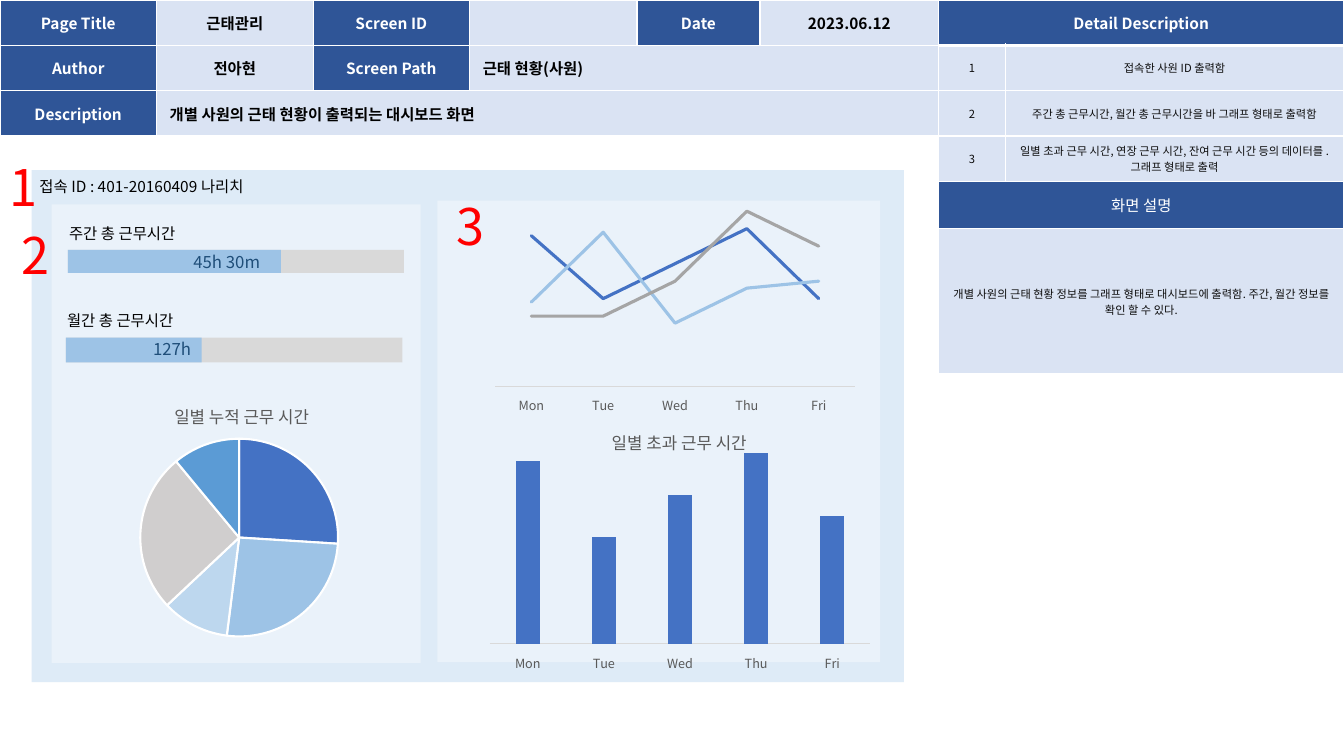
"""Builds the attendance dashboard screen definition slide."""
from lxml import etree
from pptx import Presentation
from pptx.chart.data import CategoryChartData
from pptx.dml.color import RGBColor
from pptx.enum.chart import XL_CHART_TYPE, XL_TICK_LABEL_POSITION, XL_TICK_MARK
from pptx.enum.shapes import MSO_SHAPE
from pptx.enum.text import MSO_ANCHOR, MSO_AUTO_SIZE, PP_ALIGN
from pptx.oxml.ns import qn
from pptx.util import Inches, Pt

RECT = MSO_SHAPE.RECTANGLE
LEFT, CENTER = PP_ALIGN.LEFT, PP_ALIGN.CENTER
MIDDLE, GROW = MSO_ANCHOR.MIDDLE, MSO_AUTO_SIZE.SHAPE_TO_FIT_TEXT
PIE, COLUMN, LINE = XL_CHART_TYPE.PIE, XL_CHART_TYPE.COLUMN_CLUSTERED, XL_CHART_TYPE.LINE
NO_TICK, LOW = XL_TICK_MARK.NONE, XL_TICK_LABEL_POSITION.LOW

FONT = "Noto Sans CJK KR"
COLORS = {
    "navy": "2F5597", "pale": "DAE3F3", "white": "FFFFFF", "black": "000000",
    "ink": "0D0D0D", "panel": "DEEBF7", "track": "D9D9D9", "sky": "9DC3E6",
    "deep": "1F4E79", "red": "FF0000", "blue": "4472C4", "ice": "BDD7EE",
    "silver": "D0CECE", "azure": "5B9BD5", "grey": "A5A5A5", "label": "595959",
}
LOOKS = {
    "head": ("navy", "white", 11, True, CENTER),
    "value": ("pale", "black", 11, True, CENTER),
    "wide": ("pale", "black", 11, True, LEFT),
    "section": ("navy", "white", 11, False, CENTER),
    "note": ("pale", "ink", 8, False, CENTER),
}
DAYS = ["Mon", "Tue", "Wed", "Thu", "Fri"]


def rgb(name):
    return RGBColor.from_string(COLORS[name])


class Board:
    """Holds the slide and draws on a grid of 100 columns by 100 rows."""

    def __init__(self, prs):
        self.col = prs.slide_width / 100
        self.row = prs.slide_height / 100
        self.slide = prs.slides.add_slide(prs.slide_layouts[6])

    def place(self, x, y, w, h):
        return [round(n) for n in (x * self.col, y * self.row, w * self.col, h * self.row)]

    def run(self, p, text, size, color, bold=False):
        r = p.add_run()
        r.text = text
        r.font.size, r.font.bold = Pt(size), bold
        r.font.color.rgb = rgb(color)
        r.font.name = FONT
        etree.SubElement(r.font._element, qn("a:ea"), typeface=FONT)

    def rect(self, box, color, alpha=None):
        sp = self.slide.shapes.add_shape(RECT, *self.place(*box))
        sp.shadow.inherit = False
        sp.fill.solid()
        sp.fill.fore_color.rgb = rgb(color)
        sp.line.fill.background()
        if alpha:
            fill = sp._element.spPr.find(qn("a:solidFill"))
            etree.SubElement(fill[0], qn("a:alpha"), val=str(alpha * 1000))

    def text(self, box, text, size=11, color="black"):
        tf = self.slide.shapes.add_textbox(*self.place(*box)).text_frame
        tf.word_wrap, tf.auto_size = True, GROW
        self.run(tf.paragraphs[0], text, size, color)

    def border(self, cell, side, width):
        ln = etree.SubElement(cell._tc.get_or_add_tcPr(), qn(f"a:ln{side}"), w=str(Pt(width)))
        fill = etree.SubElement(ln, qn("a:solidFill"))
        etree.SubElement(fill, qn("a:srgbClr"), val=COLORS["white"])

    def table(self, x, y, cols, rows, content):
        box = self.place(x, y, sum(cols), sum(rows))
        table = self.slide.shapes.add_table(len(rows), len(cols), *box).table
        table.first_row = table.horz_banding = False
        for column, w in zip(table.columns, cols):
            column.width = round(w * self.col)
        for row, h in zip(table.rows, rows):
            row.height = round(h * self.row)
        for i, line in enumerate(content):
            for j in range(len(cols)):
                look, text = line[min(j, len(line) - 1)]
                self.cell(table.cell(i, j), look, text if j < len(line) else "")
            if len(line) < len(cols):
                table.cell(i, len(line) - 1).merge(table.cell(i, len(cols) - 1))
        return table

    def cell(self, cell, look, text):
        fill, color, size, bold, align = LOOKS[look]
        for side in "LRTB":
            self.border(cell, side, 1)
        cell.fill.solid()
        cell.fill.fore_color.rgb = rgb(fill)
        cell.vertical_anchor = MIDDLE
        cell.margin_left = cell.margin_right = Inches(0.13)
        p = cell.text_frame.paragraphs[0]
        p.alignment = align
        if text:
            self.run(p, text, size, color, bold)
        else:
            p._p.get_or_add_endParaRPr().set("sz", str(size * 100))

    def layout(self, parent, index, **shares):
        for old in parent.findall(qn("c:layout")):
            parent.remove(old)
        layout = etree.Element(qn("c:layout"))
        parent.insert(index, layout)
        manual = etree.SubElement(layout, qn("c:manualLayout"))
        if "w" in shares:
            etree.SubElement(manual, qn("c:layoutTarget"), val="inner")
        for axis in "xy":
            etree.SubElement(manual, qn(f"c:{axis}Mode"), val="edge")
        for key, share in shares.items():
            etree.SubElement(manual, qn(f"c:{key}"), val=str(share))

    def chart(self, kind, box, cats, series, plot, title=None, title_at=None):
        data = CategoryChartData()
        data.categories = cats
        for n, values in enumerate(series, 1):
            data.add_series(f"Series {n}", values)
        chart = self.slide.shapes.add_chart(kind, *self.place(*box), data).chart
        chart.has_legend = False
        chart.font.size, chart.font.name = Pt(10), FONT
        chart.font.color.rgb = rgb("black")
        chart.has_title = bool(title)
        if title:
            self.run(chart.chart_title.text_frame.paragraphs[0], title, 12, "label")
            x, y = title_at
            self.layout(chart.chart_title._element, 1, x=x, y=y)
        x, y, w, h = plot
        self.layout(chart._chartSpace.chart.plotArea, 0, x=x, y=y, w=w, h=h)
        if kind != PIE:
            self.axes(chart)
        return chart

    def axes(self, chart):
        axis = chart.category_axis
        axis.major_tick_mark = axis.minor_tick_mark = NO_TICK
        axis.tick_label_position = LOW
        axis.tick_labels.font.size, axis.tick_labels.font.name = Pt(9), FONT
        axis.tick_labels.font.color.rgb = rgb("label")
        axis.format.line.color.rgb = rgb("track")
        axis.format.line.width = Pt(0.75)
        axis = chart.value_axis
        axis.minimum_scale, axis.maximum_scale = 0, 100
        axis.has_major_gridlines = axis.visible = False


def header_tables(board):
    board.table(0, 0, [11.65, 11.65, 11.65, 12.45, 9.15, 13.3], [6] * 3, [
        [("head", "Page Title"), ("value", "근태관리"), ("head", "Screen ID"),
         ("value", ""), ("head", "Date"), ("value", "2023.06.12")],
        [("head", "Author"), ("value", "전아현"), ("head", "Screen Path"),
         ("wide", "근태 현황(사원)")],
        [("head", "Description"), ("wide", "개별 사원의 근태 현황이 출력되는 대시보드 화면")],
    ])
    notes = ["접속한 사원 ID 출력함",
             "주간 총 근무시간, 월간 총 근무시간을 바 그래프 형태로 출력함",
             "일별 초과 근무 시간, 연장 근무 시간, 잔여 근무 시간 등의 데이터를 .그래프 형태로 출력"]
    detail = board.table(69.85, 0, [4.95, 25.2], [6] * 4 + [6.27, 19.2], [
        [("head", "Detail Description")],
        *[[("note", str(n)), ("note", note)] for n, note in enumerate(notes, 1)],
        [("section", "화면 설명")],
        [("note", "개별 사원의 근태 현황 정보를 그래프 형태로 대시보드에 출력함. "
                  "주간, 월간 정보를 확인 할 수 있다.")],
    ])
    for i, side in ((0, "B"), (1, "T")):
        for j in range(2):
            detail.cell(i, j)._tc.tcPr.find(qn(f"a:ln{side}")).set("w", str(Pt(3)))


def dashboard(board):
    board.rect((2.35, 22.5, 64.9, 67.75), "panel")
    board.rect((3.85, 27.05, 27.45, 60.65), "white", 38)
    board.rect((32.55, 26.55, 32.95, 61.05), "white", 38)

    pie = board.chart(PIE, (6.3, 50.15, 23, 35.85), list("12345"), [[26, 26, 11, 26, 11]],
                      (0.18, 0.22, 0.64, 0.73), "일별 누적 근무 시간", (0.28, 0.07))
    for n, color in enumerate(["blue", "sky", "ice", "silver", "azure"]):
        part = pie.series[0].points[n].format
        part.fill.solid()
        part.fill.fore_color.rgb = rgb(color)
        part.line.color.rgb, part.line.width = rgb("white"), Pt(1.5)

    bars = board.chart(COLUMN, (35.85, 50.4, 29.5, 38.4), DAYS, [[96, 56, 78, 100, 67]],
                       (0.02, 0.25, 0.96, 0.66), "일별 초과 근무 시간", (0.32, 0.15))
    plot = bars.plots[0]
    plot.vary_by_categories, plot.gap_width, plot.overlap = False, 219, -27
    plot.series[0].format.fill.solid()
    plot.series[0].format.fill.fore_color.rgb = rgb("blue")

    for label_at, label, x, y, full, done, h, value_x, value in (
            (28.95, "주간 총 근무시간", 5.05, 33.05, 25, 15.85, 3.05, 13.65, "45h 30m"),
            (40.55, "월간 총 근무시간", 4.9, 44.65, 25.05, 10.1, 3.3, 10.65, "127h")):
        board.text((x - 0.65, label_at, 12.5, 3.85), label)
        board.rect((x, y, full, h), "track")
        board.rect((x, y, done, h), "sky")
        board.text((value_x, y - 0.45, 13, 4), value, 12, "deep")

    lines = board.chart(LINE, (36.3, 22.8, 27.85, 32.15), DAYS,
                        [[86, 50, 70, 90, 50], [48, 88, 36, 56, 60], [40, 40, 60, 100, 80]],
                        (0.02, 0.16, 0.96, 0.72))
    for s, color in zip(lines.series, ["blue", "sky", "grey"]):
        s.smooth = False
        s.format.line.color.rgb, s.format.line.width = rgb(color), Pt(2.25)
        s.format.line._ln.set("cap", "rnd")

    board.text((2.2, 22.8, 31.35, 3.85), "접속 ID : 401-20160409 나리치")
    for n, (x, y) in enumerate([(0, 20), (0.85, 29.05), (33.2, 25.2)], 1):
        board.text((x, y, 4.8, 9.45), str(n), 36, "red")


def main():
    prs = Presentation()
    prs.slide_width, prs.slide_height = Inches(13.33), Inches(7.5)
    board = Board(prs)
    header_tables(board)
    dashboard(board)
    prs.save("out.pptx")


if __name__ == "__main__":
    main()
